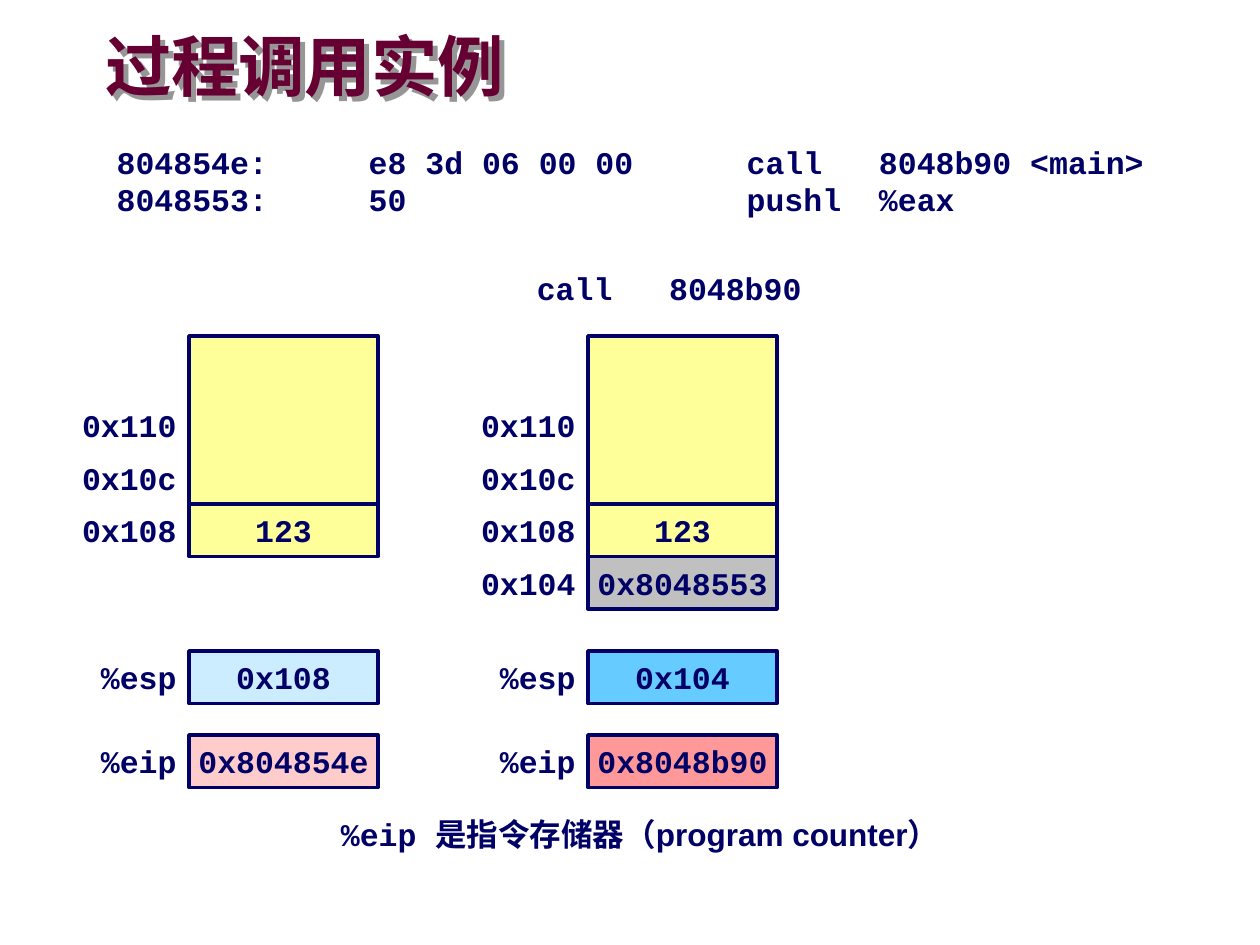
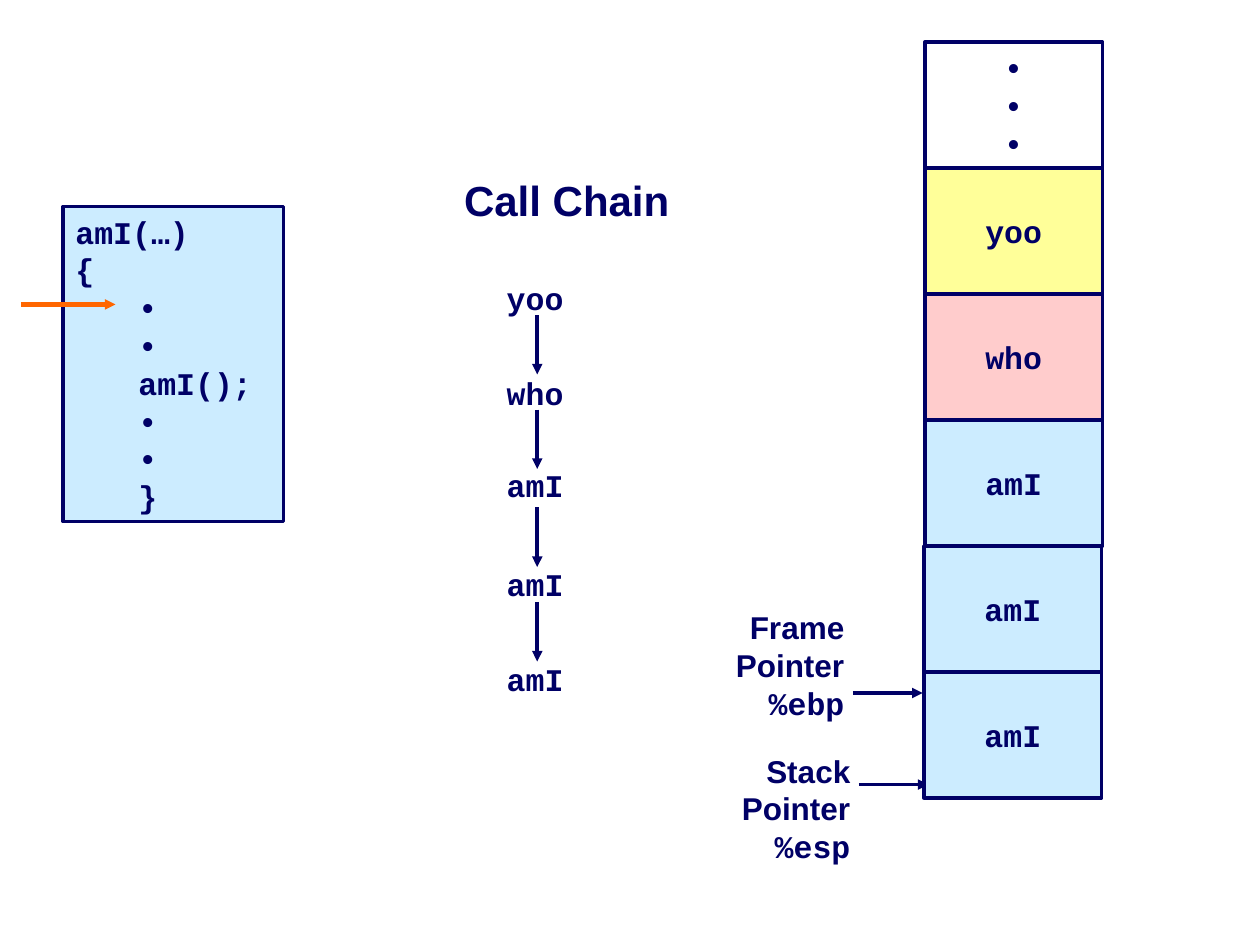
from lxml import etree
from pptx import Presentation
from pptx.dml.color import RGBColor
from pptx.enum.shapes import MSO_CONNECTOR, MSO_SHAPE
from pptx.enum.text import MSO_ANCHOR, MSO_AUTO_SIZE, PP_ALIGN
from pptx.oxml import parse_xml
from pptx.oxml.ns import nsdecls, qn
from pptx.util import Pt

RECT = MSO_SHAPE.RECTANGLE
STRAIGHT = MSO_CONNECTOR.STRAIGHT
TOP, MIDDLE = MSO_ANCHOR.TOP, MSO_ANCHOR.MIDDLE
LEFT, CENTER, RIGHT = PP_ALIGN.LEFT, PP_ALIGN.CENTER, PP_ALIGN.RIGHT
NO_AUTOFIT = MSO_AUTO_SIZE.NONE

WHITE = RGBColor(0xFF, 0xFF, 0xFF)
NAVY = RGBColor(0x00, 0x00, 0x66)
MAROON = RGBColor(0x66, 0x00, 0x33)
YELLOW = RGBColor(0xFF, 0xFF, 0x99)
GRAY = RGBColor(0xC0, 0xC0, 0xC0)
PALE_BLUE = RGBColor(0xCC, 0xEC, 0xFF)
BLUE = RGBColor(0x66, 0xCC, 0xFF)
PALE_RED = RGBColor(0xFF, 0xCC, 0xCC)
RED = RGBColor(0xFF, 0x99, 0x99)
ORANGE = RGBColor(0xFF, 0x66, 0x00)

SANS, CODE = "Arial", "Courier New"
ROW = 30
STACK_W = 108
FRAME = 72


def write(tf, lines, font=CODE, size=18, color=NAVY, align=LEFT,
          anchor=TOP, wrap=True, spacing=None, indented=()):
    tf.word_wrap = wrap
    tf.auto_size = NO_AUTOFIT
    tf.vertical_anchor = anchor
    for i, line in enumerate(lines):
        p = tf.add_paragraph() if i else tf.paragraphs[0]
        p.alignment = align
        p.line_spacing = spacing or Pt(size * 1.2)
        if i in indented:
            p._p.get_or_add_pPr().set("marL", str(Pt(36)))
        for text, face in [(line, font)] if isinstance(line, str) else line:
            r = p.add_run()
            r.text = text
            r.font.name = face
            r.font.size = Pt(size)
            r.font.bold = True
            r.font.color.rgb = color


def add_label(slide, x, y, w, h, lines, **fmt):
    sp = slide.shapes.add_textbox(Pt(x), Pt(y), Pt(w), Pt(h))
    write(sp.text_frame, lines, **fmt)
    return sp


def add_box(slide, x, y, w, h, fill=None, lines=(), outline=NAVY, **fmt):
    sp = slide.shapes.add_shape(RECT, Pt(x), Pt(y), Pt(w), Pt(h))
    sp.shadow.inherit = False
    if fill is None:
        sp.fill.background()
    else:
        sp.fill.solid()
        sp.fill.fore_color.rgb = fill
    if outline is None:
        sp.line.fill.background()
    else:
        sp.line.color.rgb = outline
        sp.line.width = Pt(2)
    write(sp.text_frame, lines, **fmt)


def add_arrow(slide, x1, y1, x2, y2, color=NAVY, width=2, head="med"):
    line = slide.shapes.add_connector(STRAIGHT, Pt(x1), Pt(y1), Pt(x2), Pt(y2))
    line.line.color.rgb = color
    line.line.width = Pt(width)
    etree.SubElement(line.line._get_or_add_ln(), qn("a:tailEnd"),
                     type="triangle", w=head, len=head)
    etree.SubElement(line._element.spPr, qn("a:effectLst"))


def add_title(slide, text):
    sp = slide.shapes.title
    sp.left, sp.top, sp.width, sp.height = Pt(60), Pt(18), Pt(630), Pt(45)
    tf = sp.text_frame
    tf.margin_left = tf.margin_right = tf.margin_top = tf.margin_bottom = 0
    write(tf, [text], font=SANS, size=38, color=MAROON, anchor=MIDDLE, spacing=0.87)
    sp.fill.background()
    sp._element.spPr.append(parse_xml(
        f'<a:effectLst {nsdecls("a")}><a:outerShdw dist="{Pt(4.2)}" dir="2700000">'
        '<a:srgbClr val="969696"/></a:outerShdw></a:effectLst>'))


def add_tabs(sp, stops):
    for p in sp.text_frame.paragraphs:
        tabs = etree.SubElement(p._p.get_or_add_pPr(), qn("a:tabLst"))
        for stop in stops:
            etree.SubElement(tabs, qn("a:tab"), pos=str(Pt(stop)), algn="l")


def add_machine_state(slide, x, addresses, cells, registers):
    for i, address in enumerate(addresses):
        add_row_label(slide, x, 228 + ROW * i, address)
    add_box(slide, x, 192, STACK_W, 96, YELLOW)
    for i, (value, fill) in enumerate(cells):
        add_cell(slide, x, 288 + ROW * i, value, fill)
    for i, (name, value, fill) in enumerate(registers):
        y = 372 + 48 * i
        add_row_label(slide, x, y, name)
        add_cell(slide, x, y, value, fill)


def add_row_label(slide, x, y, text):
    add_box(slide, x - STACK_W, y, STACK_W, ROW, WHITE, [text], outline=None,
            align=RIGHT, anchor=MIDDLE, wrap=False)


def add_cell(slide, x, y, value, fill):
    add_box(slide, x, y, STACK_W, ROW, fill, [value],
            align=CENTER, anchor=MIDDLE, wrap=False)


def add_pointer(slide, right, y, name, register, arrow_y):
    add_label(slide, right - 76.3, y, 76.3, 72,
              [[(name, SANS)], [("Pointer", SANS)], register],
              align=RIGHT, wrap=False)
    add_arrow(slide, right - 2.2, arrow_y, right + 37.6, arrow_y)


def build_call_example(prs):
    slide = prs.slides.add_slide(prs.slide_layouts[5])
    add_title(slide, "过程调用实例")
    code = add_label(slide, 59.6, 78, 640, 50, [
        "804854e:\te8 3d 06 00 00\tcall   8048b90 <main>",
        "8048553:\t50\tpushl  %eax"])
    add_tabs(code, (144, 360))
    add_label(slide, 299.7, 150, 166, 29, ["call   8048b90"])
    addresses = ["0x110", "0x10c", "0x108", "0x104"]
    pushed = [("123", YELLOW), ("0x8048553", GRAY)]
    add_machine_state(slide, 108, addresses[:3], pushed[:1],
                      [("%esp", "0x108", PALE_BLUE), ("%eip", "0x804854e", PALE_RED)])
    add_machine_state(slide, 336, addresses, pushed,
                      [("%esp", "0x104", BLUE), ("%eip", "0x8048b90", RED)])
    add_label(slide, 187.7, 462, 370, 29,
              [[("%eip 是指令存储器（", CODE), ("program counter）", SANS)]])


def build_call_chain(prs):
    slide = prs.slides.add_slide(prs.slide_layouts[6])
    add_box(slide, 36, 118, 126, 180, PALE_BLUE,
            ["amI(…)", "{", "•", "•", "amI();", "•", "•", "}"], indented=range(2, 8))
    add_arrow(slide, 12, 174, 66, 174, color=ORANGE, width=3, head="sm")

    add_label(slide, 257.8, 96, 132, 36, ["Call Chain"],
              font=SANS, size=24, align=CENTER, wrap=False)
    calls = ["yoo", "who", "amI", "amI", "amI"]
    for name, y in zip(calls, (156, 210, 263, 319.4, 373.4)):
        add_label(slide, 282.5, y, 47.5, 29, [name])
    for y in (180, 234, 290, 344):
        add_arrow(slide, 307, y, 307, y + 34)

    add_pointer(slide, 489.6, 344, "Frame", "%ebp", 396)
    add_pointer(slide, 493, 426, "Stack", "%esp", 448.3)
    frames = [(["•"] * 3, None)]
    frames += zip([[name] for name in calls],
                  [YELLOW, PALE_RED, PALE_BLUE, PALE_BLUE, PALE_BLUE])
    for i, (lines, fill) in enumerate(frames):
        x = 528.5 if i < 4 else 528
        add_box(slide, x, 24 + FRAME * i, 101.5, FRAME, fill, lines,
                align=CENTER, anchor=MIDDLE)


def main():
    prs = Presentation()
    prs.slide_width, prs.slide_height = Pt(720), Pt(540)
    build_call_example(prs)
    build_call_chain(prs)
    prs.save("out.pptx")


if __name__ == "__main__":
    main()
